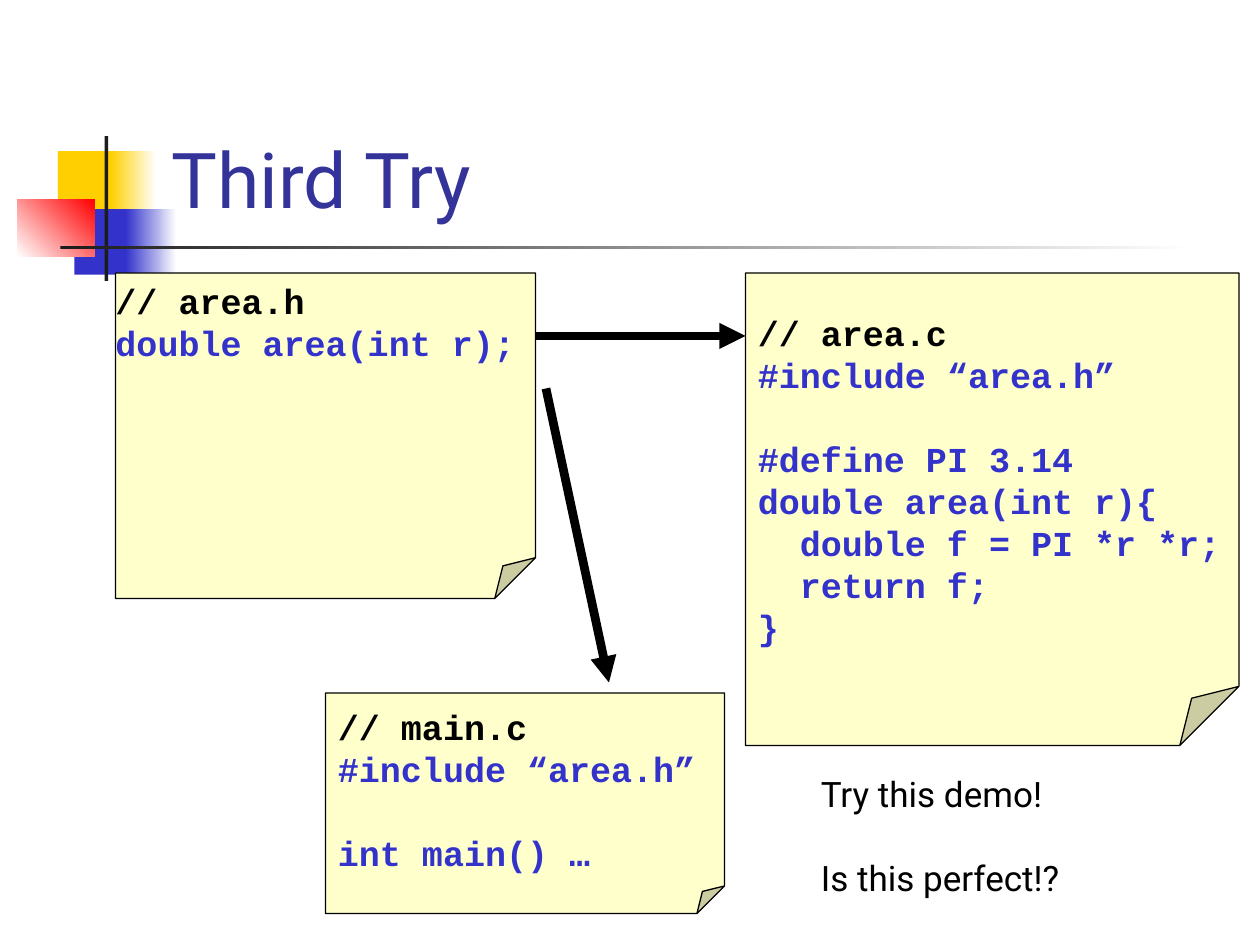
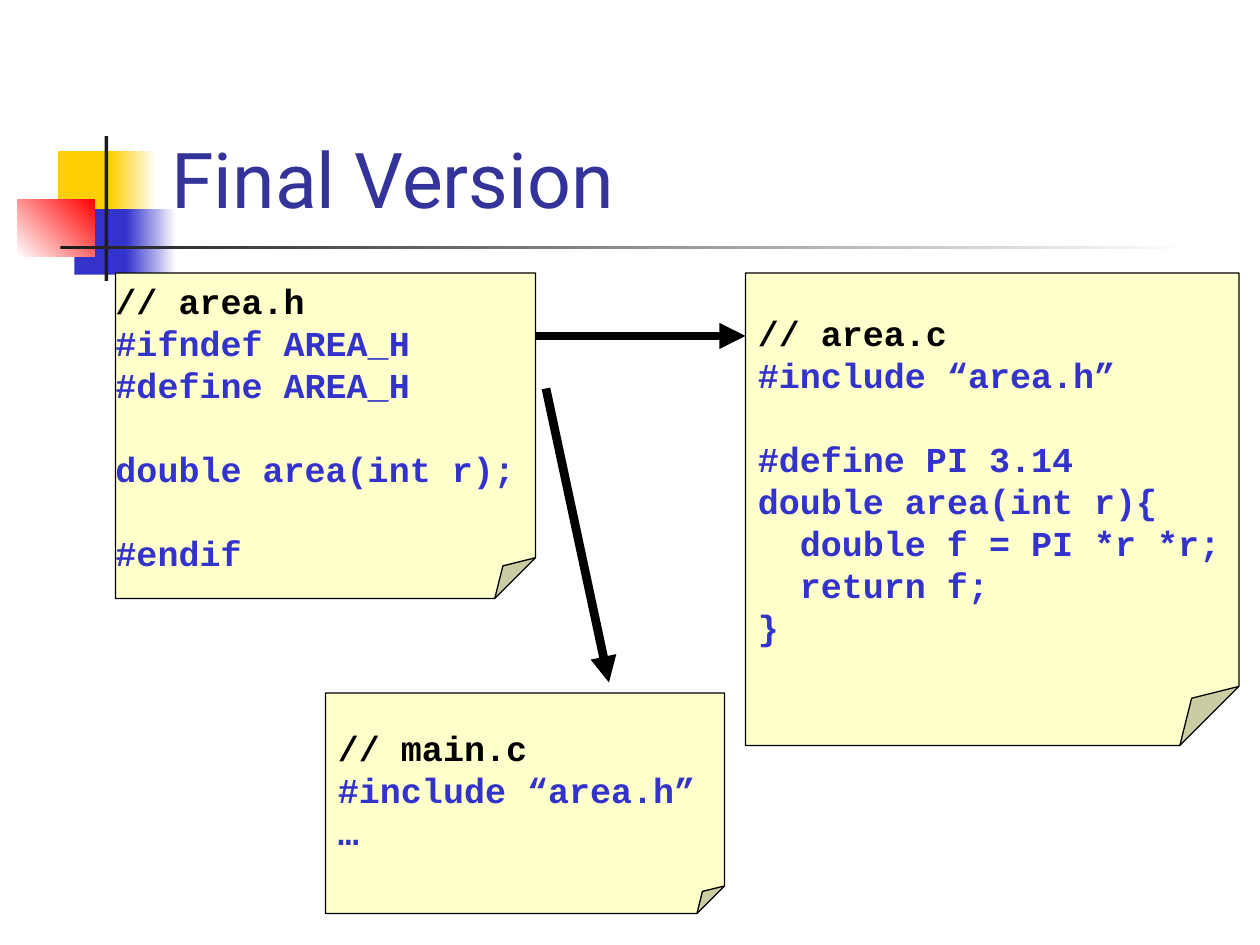
from lxml import etree
from pptx import Presentation
from pptx.dml.color import RGBColor
from pptx.enum.shapes import MSO_CONNECTOR, MSO_SHAPE
from pptx.enum.text import MSO_ANCHOR, MSO_AUTO_SIZE, PP_ALIGN
from pptx.oxml.ns import qn
from pptx.util import Inches, Pt

RECT, NOTE = MSO_SHAPE.RECTANGLE, MSO_SHAPE.FOLDED_CORNER
STRAIGHT = MSO_CONNECTOR.STRAIGHT
TOP, MIDDLE, BOTTOM = MSO_ANCHOR.TOP, MSO_ANCHOR.MIDDLE, MSO_ANCHOR.BOTTOM
LEFT = PP_ALIGN.LEFT
NO_FIT, GROW = MSO_AUTO_SIZE.NONE, MSO_AUTO_SIZE.SHAPE_TO_FIT_TEXT

BLACK = RGBColor(0x00, 0x00, 0x00)
WHITE = RGBColor(0xFF, 0xFF, 0xFF)
YELLOW = RGBColor(0xFF, 0xCF, 0x01)
BLUE = RGBColor(0x33, 0x33, 0xCC)
RED = RGBColor(0xFF, 0x00, 0x00)
CHARCOAL = RGBColor(0x1C, 0x1C, 0x1C)
TITLE_BLUE = RGBColor(0x33, 0x33, 0x99)
NOTE_CREAM = RGBColor(0xFF, 0xFF, 0xCC)

TEXT_FONT, CODE_FONT = "Roboto", "Courier New"
CODE_SIZE, CODE_LINE = 20, 24
CODE_CHAR = 0.6 * CODE_SIZE
TITLE_ONLY = 5

# Left, top, width, height in inches; start colour, end colour, angle
EMBLEM = [
    (0.46, 1.2, 0.48, 0.52, YELLOW, None, 0),
    (0.88, 1.2, 0.36, 0.52, YELLOW, WHITE, 0),
    (0.59, 1.66, 0.46, 0.52, BLUE, None, 0),
    (1, 1.66, 0.4, 0.52, BLUE, WHITE, 0),
    (0.14, 1.58, 0.61, 0.46, WHITE, RED, 45),
    (0.83, 1.08, 0.03, 1.15, CHARCOAL, None, 0),
    (0.48, 1.95, 9, 0.03, CHARCOAL, WHITE, 0),
]

# Diagram positions in grid cells
HEADER_BOX = (11, 26, 40, 31)
MAIN_BOX = (31, 66, 38, 21)
AREA_BOX = (71, 26, 47, 45)
ARROWS = [(52, 37, 58, 65), (51, 32, 71, 32)]

AREA_CODE = """// area.c
#include “area.h”

#define PI 3.14
double area(int r){
  double f = PI *r *r;
  return f;
}"""

THIRD_HEADER = """// area.h
double area(int r);"""

THIRD_MAIN = """// main.c
#include “area.h”

int main() …"""

FINAL_HEADER = """// area.h
#ifndef AREA_H
#define AREA_H

double area(int r);

#endif"""

FINAL_MAIN = """// main.c
#include “area.h”
…"""


def grid(*cells):
    """Convert grid cells, twelve to the inch, to lengths."""
    return [Inches(n / 12) for n in cells]


def add_run(p, text, font, size, color, bold=False):
    r = p.add_run()
    r.text = text
    r.font.name, r.font.size, r.font.bold = font, Pt(size), bold
    r.font.color.rgb = color


def style_layout(layout, slide):
    """Put the emblem and the title's place on the shared layout."""
    tree = layout.shapes.element
    for i, (x, y, w, h, start, end, angle) in enumerate(EMBLEM):
        sp = slide.shapes.add_shape(RECT, *map(Inches, (x, y, w, h)))
        sp.shadow.inherit = False
        sp.line.fill.background()
        if end is None:
            sp.fill.solid()
            sp.fill.fore_color.rgb = start
        else:
            sp.fill.gradient()
            sp.fill.gradient_angle = angle
            for position, color in enumerate((start, end)):
                stop = sp.fill.gradient_stops[position]
                stop.color.rgb, stop.position = color, position
        tree.insert(2 + i, sp.element)
    title = layout.placeholders[0]
    title.left, title.top = Inches(1.26), Inches(0.23)
    title.width, title.height = Inches(8.52), Inches(1.6)


def set_title(slide, text):
    tf = slide.shapes.title.text_frame
    tf.vertical_anchor, tf.auto_size = BOTTOM, NO_FIT
    p = tf.paragraphs[0]
    p.alignment = LEFT
    add_run(p, text, TEXT_FONT, 44, TITLE_BLUE)


def set_fold(sp, share):
    """Set the folded corner's size, which python-pptx does not list."""
    guides = sp.element.spPr.find(qn("a:prstGeom")).get_or_add_avLst()
    for guide in list(guides):
        guides.remove(guide)
    etree.SubElement(guides, qn("a:gd"), name="adj", fmla=f"val {round(share * 100000)}")


def add_code_note(slide, box, code, anchor=MIDDLE, inset=0.1):
    """Add a folded note; blank code lines become space, leading ones indents."""
    sp = slide.shapes.add_shape(NOTE, *grid(*box))
    sp.shadow.inherit = False
    set_fold(sp, 0.125)
    sp.fill.solid()
    sp.fill.fore_color.rgb = NOTE_CREAM
    sp.line.color.rgb, sp.line.width = BLACK, Pt(0.75)
    tf = sp.text_frame
    tf.word_wrap, tf.vertical_anchor = False, anchor
    tf.margin_left = Inches(inset)
    gap = 0
    for i, line in enumerate(code.splitlines()):
        if not line:
            gap += CODE_LINE
            continue
        p = tf.add_paragraph() if i else tf.paragraphs[0]
        p.alignment, p.line_spacing, p.space_before = LEFT, Pt(CODE_LINE), Pt(gap)
        text = line.lstrip()
        indent = len(line) - len(text)
        if indent:
            p._p.get_or_add_pPr().set("marL", str(Pt(indent * CODE_CHAR)))
        color = BLACK if text.startswith("//") else BLUE
        add_run(p, text, CODE_FONT, CODE_SIZE, color, bold=True)
        gap = 0


def add_arrow(slide, ends):
    line = slide.shapes.add_connector(STRAIGHT, *grid(*ends))
    line.line.color.rgb, line.line.width = BLACK, Pt(5)
    ln = line.element.spPr.find(qn("a:ln"))
    etree.SubElement(ln, qn("a:tailEnd"), type="triangle")
    etree.SubElement(line.element.spPr, qn("a:effectLst"))


def add_remark(slide, row, text):
    tf = slide.shapes.add_textbox(*grid(77, row, 30, 5.2)).text_frame
    tf.word_wrap, tf.auto_size = True, GROW
    add_run(tf.paragraphs[0], text, TEXT_FONT, 20, BLACK)


def add_code_slide(slide, title, header_code, main_code):
    set_title(slide, title)
    add_code_note(slide, HEADER_BOX, header_code, anchor=TOP, inset=0)
    add_code_note(slide, MAIN_BOX, main_code)
    for ends in ARROWS:
        add_arrow(slide, ends)
    add_code_note(slide, AREA_BOX, AREA_CODE)


def main():
    prs = Presentation()
    prs.slide_width, prs.slide_height = Inches(10), Inches(7.5)
    layout = prs.slide_layouts[TITLE_ONLY]
    third, final = [prs.slides.add_slide(layout) for _ in range(2)]
    style_layout(layout, third)
    add_code_slide(third, "Third Try", THIRD_HEADER, THIRD_MAIN)
    add_remark(third, 73, "Try this demo!")
    add_remark(third, 81, "Is this perfect!?")
    add_code_slide(final, "Final Version", FINAL_HEADER, FINAL_MAIN)
    prs.save("out.pptx")


if __name__ == "__main__":
    main()
